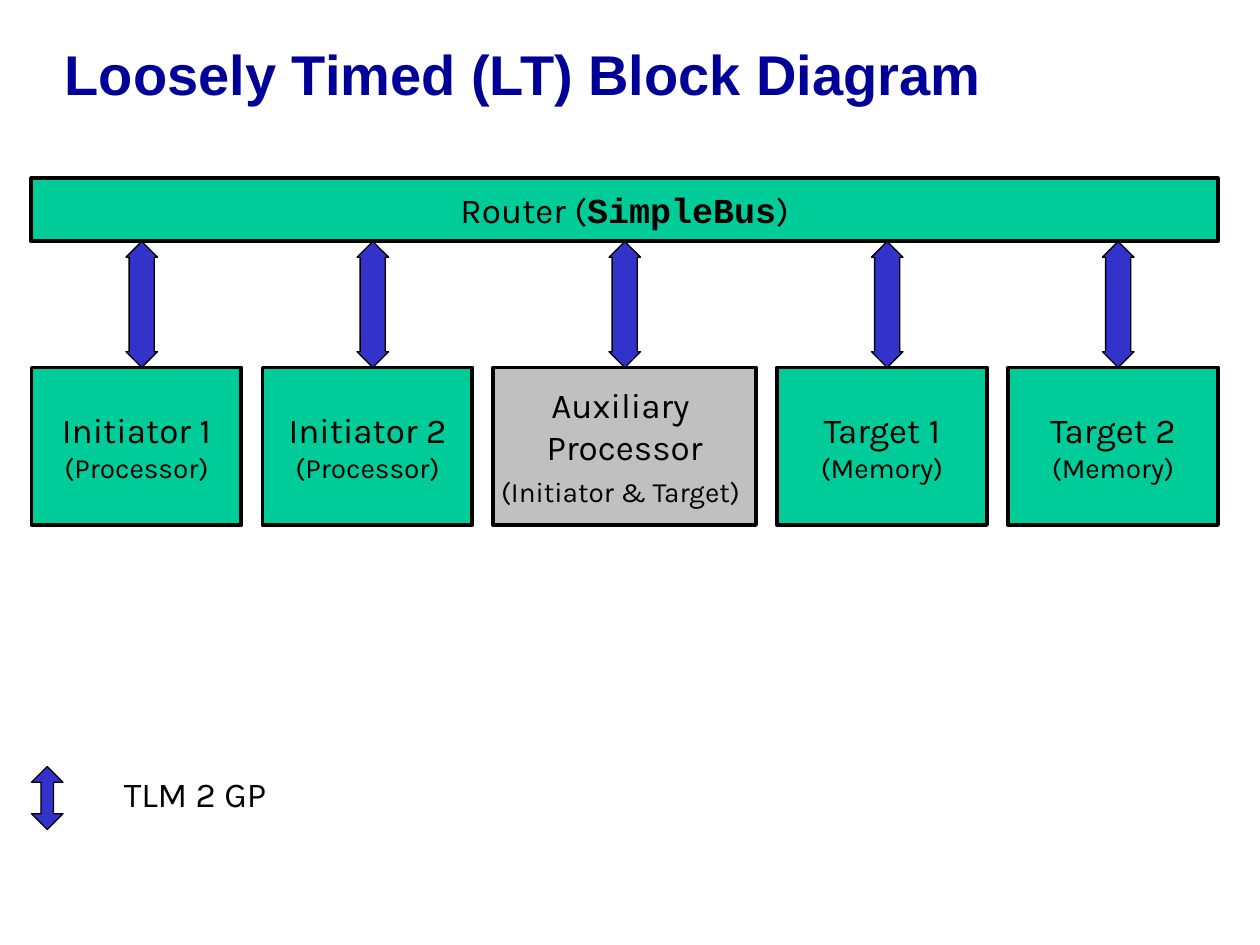
from pptx import Presentation
from pptx.dml.color import RGBColor
from pptx.enum import shapes, text
from pptx.util import Pt

NAVY = RGBColor(0x00, 0x00, 0x99)
BLUE = RGBColor(0x33, 0x33, 0xCC)
GREEN = RGBColor(0x00, 0xCC, 0x99)
GRAY = RGBColor(0xC0, 0xC0, 0xC0)
BLACK = RGBColor(0, 0, 0)

BODY_FONT = "Karla"
MARGIN, GAP = 18, 12
ROUTER_TOP, ROUTER_WIDTH, ROUTER_HEIGHT = 102, 678, 36
BLOCK_TOP, BLOCK_HEIGHT = 210, 90
ARROW_WIDTH = 18

BLOCKS = [
    (120, 54, GREEN, [[("Initiator 1", 20)], [("(Processor)", 16)]]),
    (120, 54, GREEN, [[("Initiator 2", 20)], [("(Processor)", 16)]]),
    (150, 66, GRAY, [[("Auxiliary ", 20)], [("Processor", 20)],
                     [("(Initiator & Target)", 16), (" ", 20)]]),
    (120, 54, GREEN, [[("Target 1", 20)], [("(Memory)", 16)]]),
    (120, 54, GREEN, [[("Target 2", 20)], [("(Memory)", 16)]]),
]


def add_run(paragraph, words, size, font=BODY_FONT, color=BLACK, bold=False):
    run = paragraph.add_run()
    run.text = words
    run.font.size = Pt(size)
    run.font.name = font
    run.font.bold = bold
    run.font.color.rgb = color


def write_lines(frame, lines):
    for index, line in enumerate(lines):
        paragraph = frame.add_paragraph() if index else frame.paragraphs[0]
        paragraph.alignment = text.PP_ALIGN.CENTER
        for run in line:
            add_run(paragraph, *run)


def add_filled(slide, kind, left, top, width, height, fill, border):
    figure = slide.shapes.add_shape(kind, Pt(left), Pt(top), Pt(width), Pt(height))
    figure.shadow.inherit = False
    figure.fill.solid()
    figure.fill.fore_color.rgb = fill
    figure.line.color.rgb = BLACK
    figure.line.width = Pt(border)
    return figure


def add_block(slide, left, top, width, height, fill, lines):
    block = add_filled(slide, shapes.MSO_SHAPE.RECTANGLE,
                       left, top, width, height, fill, 2.25)
    frame = block.text_frame
    frame.word_wrap = False
    frame.vertical_anchor = text.MSO_ANCHOR.MIDDLE
    write_lines(frame, lines)


def add_arrow(slide, left, top, height, head):
    arrow = add_filled(slide, shapes.MSO_SHAPE.UP_DOWN_ARROW,
                       left, top, ARROW_WIDTH, height, BLUE, 0.75)
    arrow.adjustments[0] = 0.5
    arrow.adjustments[1] = head


def add_title(slide, left, top, width, height):
    title = slide.shapes.add_textbox(Pt(left), Pt(top), Pt(width), Pt(height))
    frame = title.text_frame
    frame.word_wrap = True
    frame.vertical_anchor = text.MSO_ANCHOR.MIDDLE
    heading = frame.paragraphs[0]
    heading.line_spacing = 0.85
    add_run(heading, "Loosely Timed (LT) Block Diagram", 32, "Arial", NAVY, True)


def add_diagram(slide, left, top):
    add_block(slide, left, top, ROUTER_WIDTH, ROUTER_HEIGHT, GREEN,
              [[("Router (", 20),
                ("SimpleBus", 20, "Courier New", BLACK, True),
                (")", 20)]])
    router_bottom = top + ROUTER_HEIGHT
    for width, port, fill, lines in BLOCKS:
        add_block(slide, left, BLOCK_TOP, width, BLOCK_HEIGHT, fill, lines)
        add_arrow(slide, left + port, router_bottom, BLOCK_TOP - router_bottom, 0.8)
        left += width + GAP


def add_legend(slide, left, top):
    add_arrow(slide, left, top, 36, 0.4)
    label = slide.shapes.add_textbox(Pt(left + 38), Pt(top), Pt(111), Pt(31.5))
    label.text_frame.word_wrap = False
    label.text_frame.auto_size = text.MSO_AUTO_SIZE.SHAPE_TO_FIT_TEXT
    write_lines(label.text_frame, [[("TLM 2 GP", 20)]])


def main():
    deck = Presentation()
    deck.slide_width, deck.slide_height = Pt(720), Pt(540)
    slide = deck.slides.add_slide(deck.slide_layouts[6])
    add_title(slide, 30, 0, 684, 90)
    add_diagram(slide, MARGIN, ROUTER_TOP)
    add_legend(slide, MARGIN, 438)
    deck.save("out.pptx")


if __name__ == "__main__":
    main()
